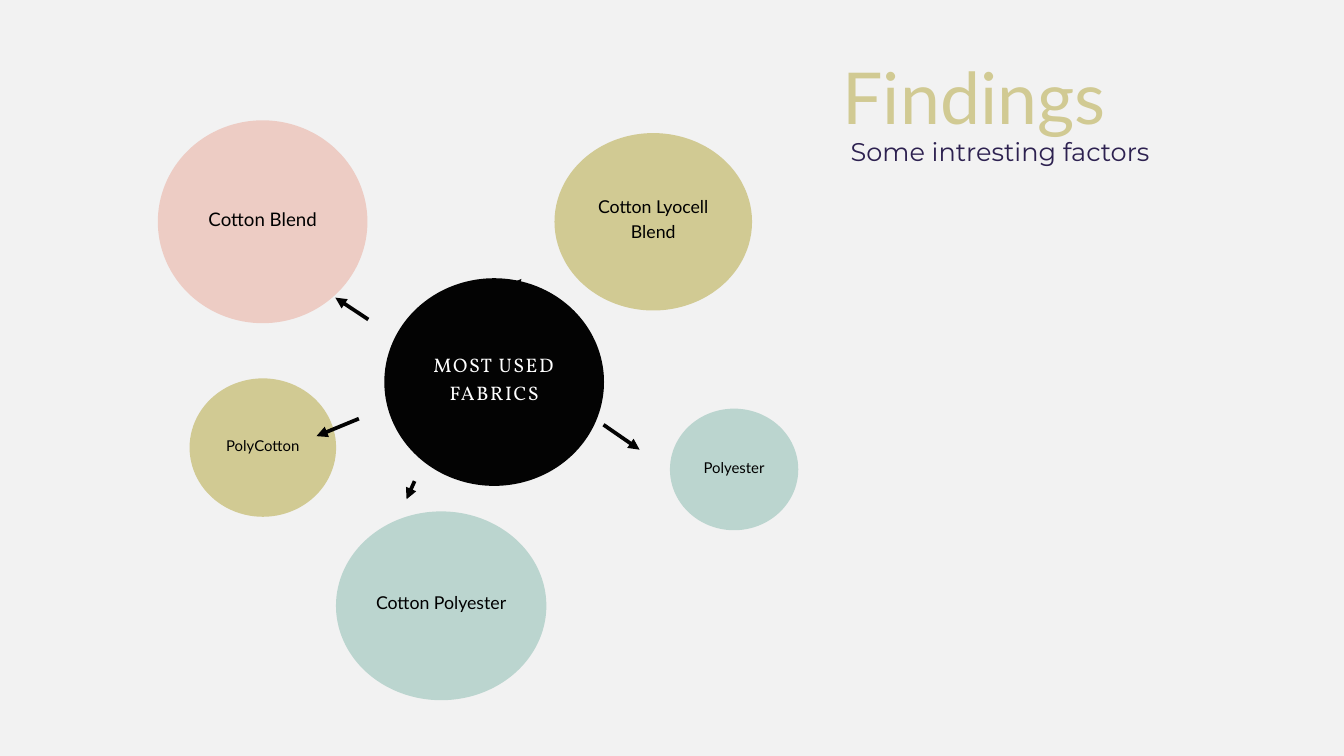
import pptx
import pptx.dml.color
import pptx.enum.shapes
import pptx.enum.text
import pptx.oxml
import pptx.oxml.ns
import pptx.util

Pt = pptx.util.Pt
RGBColor = pptx.dml.color.RGBColor
ALIGN = pptx.enum.text.PP_ALIGN
ANCHOR = pptx.enum.text.MSO_ANCHOR

BACKGROUND = RGBColor(0xF2, 0xF2, 0xF2)
OLIVE = RGBColor(0xD1, 0xCA, 0x93)
PINK = RGBColor(0xED, 0xCC, 0xC4)
MINT = RGBColor(0xBB, 0xD5, 0xCF)
NAVY = RGBColor(0x2D, 0x21, 0x50)
INK = RGBColor(0x03, 0x03, 0x03)
BLACK = RGBColor(0, 0, 0)
WHITE = RGBColor(0xFF, 0xFF, 0xFF)

BUBBLES = [
    ("Cotton Lyocell Blend", (425, 13.7, 211.7, 190.1), OLIVE, 19),
    ("MOST USED FABRICS", (242.7, 169.2, 235.4, 222.5), INK, 21),
    ("Cotton Blend", (0, 0, 224.6, 217.4), PINK, 20),
    ("PolyCotton", (34, 276.5, 157, 148.3), OLIVE, 16),
    ("Polyester", (548.7, 308.9, 137.5, 130.3), MINT, 16),
    ("Cotton Polyester", (190.9, 419, 225.4, 202.3), MINT, 19),
]
ARROWS = [
    ((225.5, 213.4), (190.2, 190)),
    ((477.5, 326.2), (516.2, 352.9)),
    ((275.1, 386.6), (266.5, 406)),
    ((377.5, 184.3), (389.6, 169.9)),
    ((215.4, 319.7), (170, 338.4)),
]


def add_text(slide, box, text, font, line_spacing, align=ALIGN.LEFT,
             anchor=ANCHOR.TOP, margin=0, tracking=None):
    shape = slide.shapes.add_textbox(*map(Pt, box))
    frame = shape.text_frame
    frame_format = {"word_wrap": True, "vertical_anchor": anchor}
    for side in ("left", "top", "right", "bottom"):
        frame_format[f"margin_{side}"] = Pt(margin)
    for name, value in frame_format.items():
        setattr(frame, name, value)
    paragraph = frame.paragraphs[0]
    for name, value in {"alignment": align, "line_spacing": Pt(line_spacing)}.items():
        setattr(paragraph, name, value)
    run = paragraph.add_run()
    run.text = text
    color = font["color"]
    for name, value in {"name": font["name"], "size": Pt(font["size"])}.items():
        setattr(run.font, name, value)
    run.font.color.rgb = color
    if tracking:
        run.font._element.set("spc", str(tracking))


def add_bubble(slide, box, label, fill, size):
    left, top, width, height = box
    oval = slide.shapes.add_shape(pptx.enum.shapes.MSO_SHAPE.OVAL, *map(Pt, box))
    oval.shadow.inherit = False
    oval.fill.solid()
    oval.fill.fore_color.rgb = fill
    oval.line.fill.background()
    is_center = fill == INK
    font = {
        "name": "Vollkorn" if is_center else "Lato",
        "size": size,
        "color": WHITE if is_center else BLACK,
    }
    label_box = (left + 0.09 * width, top + 0.05 * height, 0.82 * width, 0.85 * height)
    add_text(slide, label_box, label, font, 1.4 * size, ALIGN.CENTER,
             ANCHOR.MIDDLE, 4, 170 if is_center else None)


def add_arrow(slide, start, end):
    arrow = slide.shapes.add_connector(
        pptx.enum.shapes.MSO_CONNECTOR.STRAIGHT, *map(Pt, start + end))
    arrow.line.width = Pt(4)
    arrow.line.color.rgb = INK
    head = pptx.oxml.parse_xml(
        f'<a:tailEnd {pptx.oxml.ns.nsdecls("a")} type="triangle"/>')
    arrow.line._get_or_add_ln().append(head)
    effects = pptx.oxml.parse_xml(f'<a:effectLst {pptx.oxml.ns.nsdecls("a")}/>')
    arrow._element.spPr.append(effects)


def add_heading(slide, left, top, width):
    add_text(slide, (left, top, width, 103.7), "Findings",
             {"name": "Lato", "size": 76.7, "color": OLIVE}, 107.3)
    add_text(slide, (left + 8.6, top + 99.4, width - 67, 37.4),
             "Some intresting factors",
             {"name": "Montserrat", "size": 27.4, "color": NAVY}, 38.3)


def add_fabric_map(slide, left, top):
    for label, (x, y, width, height), fill, size in BUBBLES:
        add_bubble(slide, (left + x, top + y, width, height), label, fill, size)
    for start, end in ARROWS:
        add_arrow(slide, (left + start[0], top + start[1]),
                  (left + end[0], top + end[1]))


def main():
    presentation = pptx.Presentation()
    for name, value in {"slide_width": Pt(1440), "slide_height": Pt(810)}.items():
        setattr(presentation, name, value)
    slide = presentation.slides.add_slide(presentation.slide_layouts[6])
    slide.background.fill.solid()
    slide.background.fill.fore_color.rgb = BACKGROUND
    add_heading(slide, 902.9, 41, 537)
    add_fabric_map(slide, 169.1, 128.9)
    presentation.save("out.pptx")


if __name__ == "__main__":
    main()
